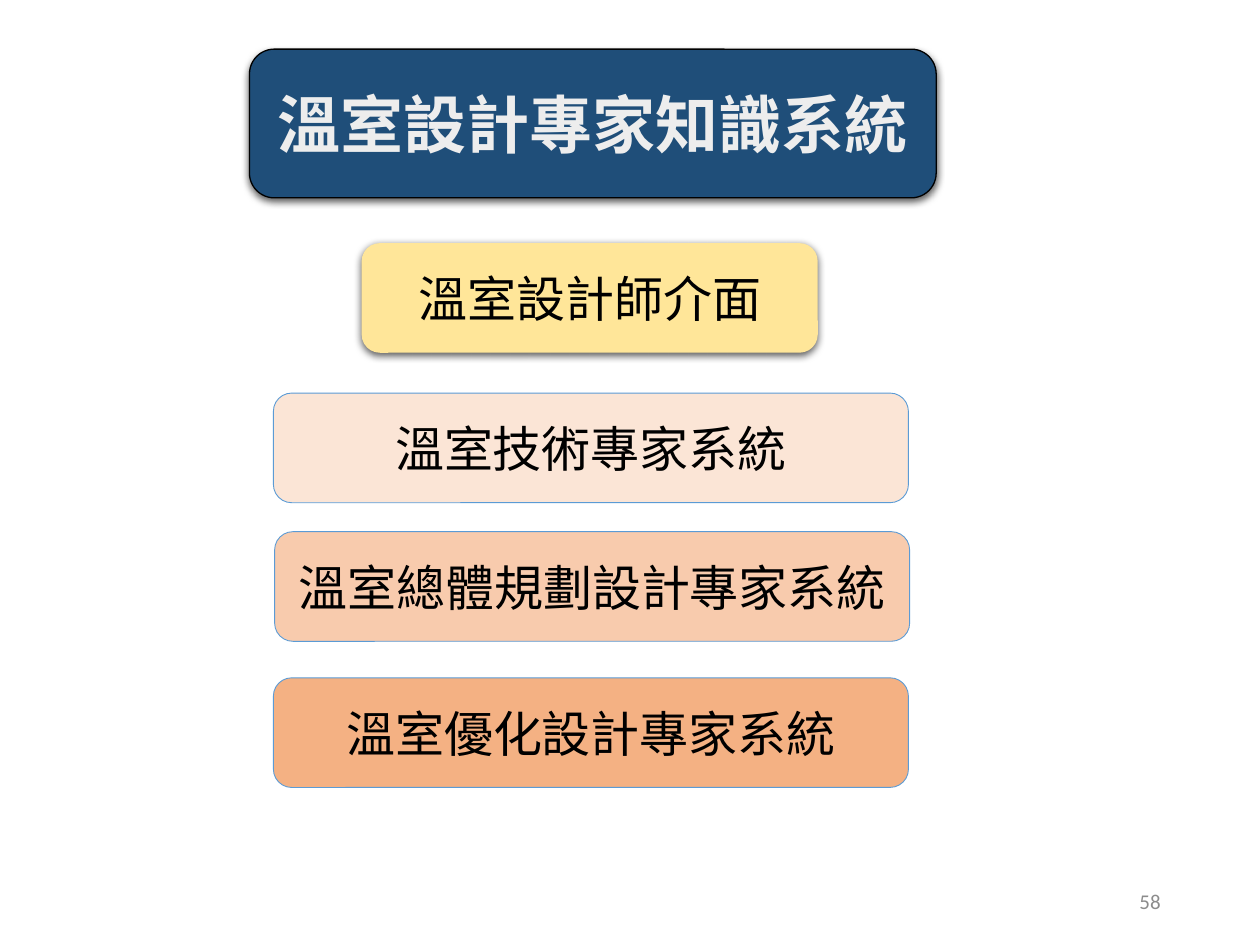
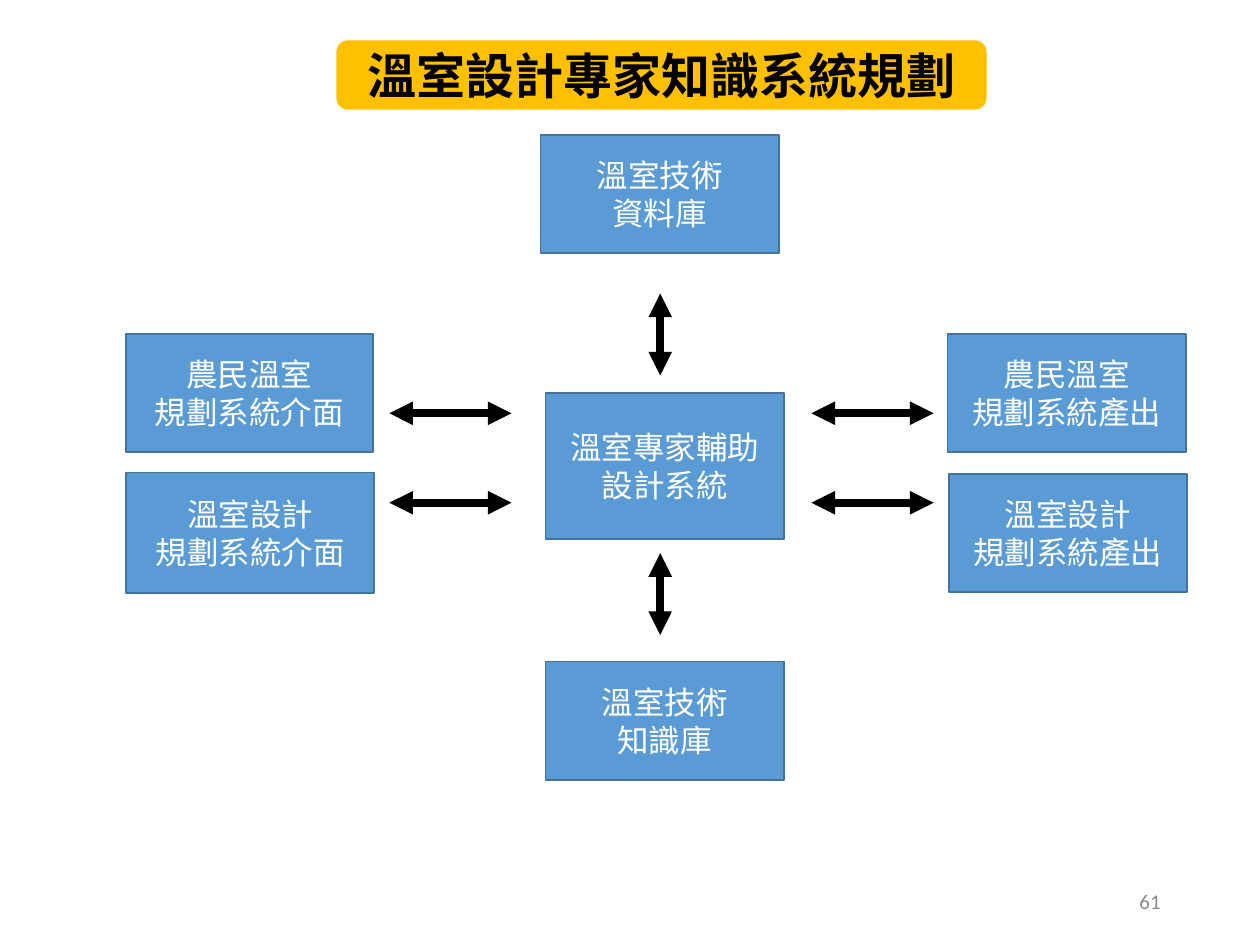
import pptx
import pptx.util
import pptx.dml.color
import pptx.enum.shapes
import pptx.enum.text
import pptx.oxml
import pptx.oxml.ns

SCALE = 9144  # EMU per px, 100 px to the inch
FONT = "Calibri"
BLACK, WHITE, GREY = "000000", "FFFFFF", "8C8C8C"
BLUE, EDGE = "5B9BD5", "43739E"
KIND = pptx.enum.shapes.MSO_SHAPE
ALIGN = pptx.enum.text.PP_ALIGN
qn = pptx.oxml.ns.qn


def emu(px):
    return pptx.util.Emu(px * SCALE)


def rgb(code):
    return pptx.dml.color.RGBColor.from_string(code)


def node(tag, body):
    """Make one drawing element from its tag with attributes and its body."""
    space = pptx.oxml.ns.nsdecls("a")
    return pptx.oxml.parse_xml(f"<a:{tag} {space}>{body}</a:{tag.split()[0]}>")


class Deck:
    """Holds the style and the current slide."""

    def __init__(self):
        self.show = pptx.Presentation()
        self.show.slide_width, self.show.slide_height = emu(1000), emu(750)
        self.slide = None

    def page(self, number):
        """Start a blank slide with its number at the lower right."""
        self.slide = self.show.slides.add_slide(self.show.slide_layouts[6])
        box = self.slide.shapes.add_textbox(*map(emu, (706, 695, 225, 40)))
        self.label(box, [number], 12, GREY, ALIGN.RIGHT)

    def label(self, shape, lines, size, color, align=ALIGN.CENTER, bold=False, rim=None):
        """Fill a shape with one paragraph a line; rim outlines the letters."""
        frame = shape.text_frame
        frame.word_wrap = True
        frame.vertical_anchor = pptx.enum.text.MSO_ANCHOR.MIDDLE
        for i, line in enumerate(lines):
            para = frame.add_paragraph() if i else frame.paragraphs[0]
            para.alignment = align
            run = para.add_run()
            run.text = line
            font = run.font
            font.name, font.size, font.bold = FONT, pptx.util.Pt(size), bold
            font.color.rgb = rgb(color)
            if rim:
                width = pptx.util.Pt(1.75)
                paint = f'<a:solidFill><a:srgbClr val="{rim}"/></a:solidFill>'
                run._r.get_or_add_rPr().insert(0, node(f'ln w="{width}"', paint))

    def box(self, area, lines, fill, edge=None, width=1, kind=KIND.ROUNDED_RECTANGLE,
            size=28, color=BLACK, shade=False, **style):
        shape = self.slide.shapes.add_shape(kind, *map(emu, area))
        shape.shadow.inherit = False
        shape.fill.solid()
        shape.fill.fore_color.rgb = rgb(fill)
        if edge:
            shape.line.color.rgb = rgb(edge)
            shape.line.width = pptx.util.Pt(width)
        else:
            shape.line.fill.background()
        if shade:
            self.shade(shape)
        self.label(shape, lines, size, color, **style)

    def shade(self, shape):
        """Drop a soft shadow straight down."""
        blur, dist = pptx.util.Pt(4.5), pptx.util.Pt(1.5)
        tag = f'outerShdw blurRad="{blur}" dist="{dist}" dir="5400000" rotWithShape="0"'
        color = f'<a:srgbClr val="{BLACK}"><a:alpha val="63000"/></a:srgbClr>'
        shape._element.spPr.find(qn("a:effectLst")).append(node(tag, color))

    def block(self, area, *lines):
        """Draw a blue box of the system diagram."""
        self.box(area, lines, BLUE, EDGE, kind=KIND.RECTANGLE, size=18, color=WHITE)

    def arrow(self, x1, y1, x2, y2):
        """Draw a thick line with a head at both ends."""
        line = self.slide.shapes.add_connector(
            pptx.enum.shapes.MSO_CONNECTOR.STRAIGHT, *map(emu, (x1, y1, x2, y2)))
        line.line.color.rgb = rgb(BLACK)
        line.line.width = pptx.util.Pt(4.5)
        for end in ("headEnd", "tailEnd"):
            line._element.spPr.find(qn("a:ln")).append(node(f'{end} type="triangle"', ""))
        line._element.spPr.append(node("effectLst", ""))


def layers(deck):
    deck.page("58")
    deck.box((198, 39, 545, 118), ["溫室設計專家知識系統"], "1F4E79", BLACK, 0.75,
             size=36, color="EDEDED", shade=True, bold=True, rim="8497B0")
    deck.box((287, 193, 362, 87), ["溫室設計師介面"], "FFE699", shade=True)
    for x, y, name, fill in (
        (217, 312, "溫室技術專家系統", "FBE5D6"),
        (218, 422, "溫室總體規劃設計專家系統", "F8CBAD"),
        (217, 538, "溫室優化設計專家系統", "F4B183"),
    ):
        deck.box((x, y, 504, 87), [name], fill, BLUE, 0.5)


def plan(deck):
    deck.page("61")
    deck.block((429, 107, 189, 94), "溫室技術", "資料庫")
    deck.block((433, 525, 189, 94), "溫室技術", "知識庫")
    deck.block((433, 312, 189, 116), "溫室專家輔助", "設計系統")
    deck.block((100, 265, 196, 94), "農民溫室", "規劃系統介面")
    deck.block((100, 375, 197, 96), "溫室設計", "規劃系統介面")
    deck.block((752, 265, 189, 94), "農民溫室", "規劃系統產出")
    deck.block((753, 376, 189, 94), "溫室設計", "規劃系統產出")
    for top in (233, 439):
        deck.arrow(524, top, 524, top + 65)
    for right in (406, 741):
        for y in (328, 399):
            deck.arrow(right, y, right - 97, y)
    deck.box((267, 32, 516, 55), ["溫室設計專家知識系統規劃"], "FFC000", bold=True)


def main():
    deck = Deck()
    layers(deck)
    plan(deck)
    deck.show.save("out.pptx")


if __name__ == "__main__":
    main()
